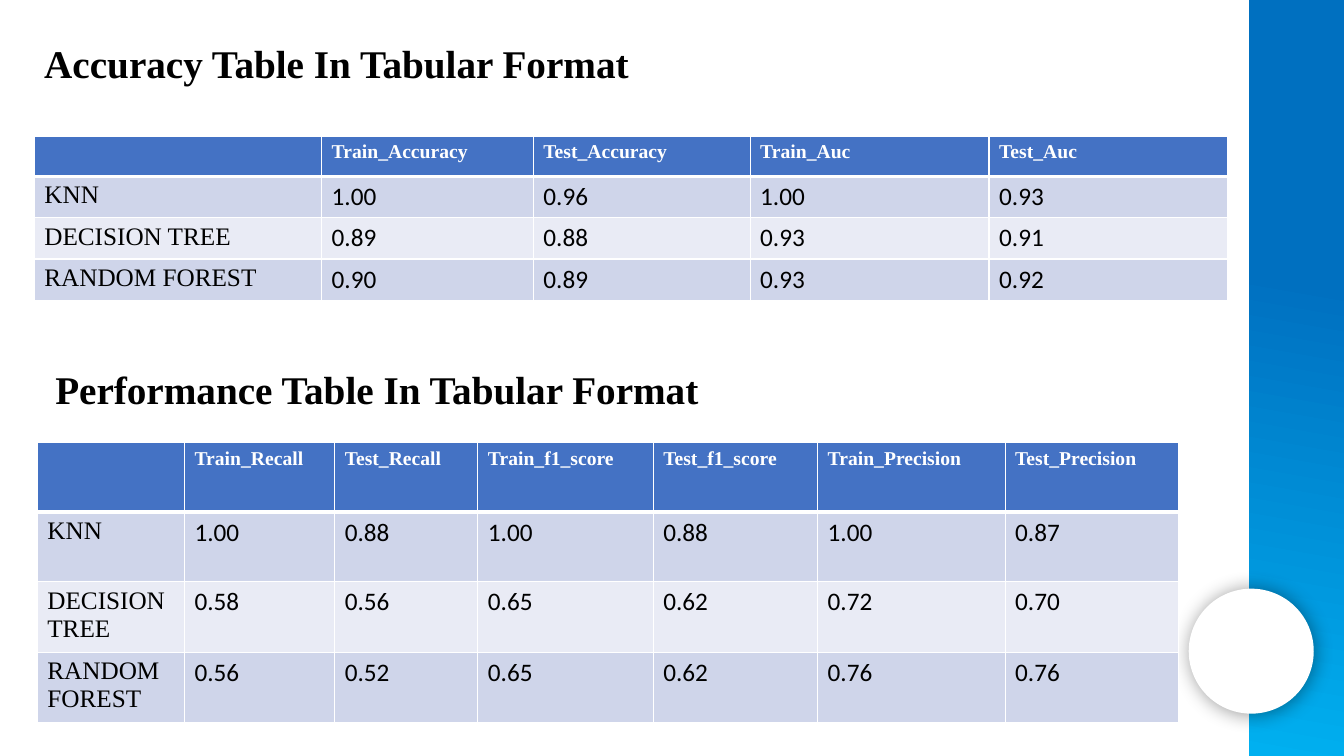
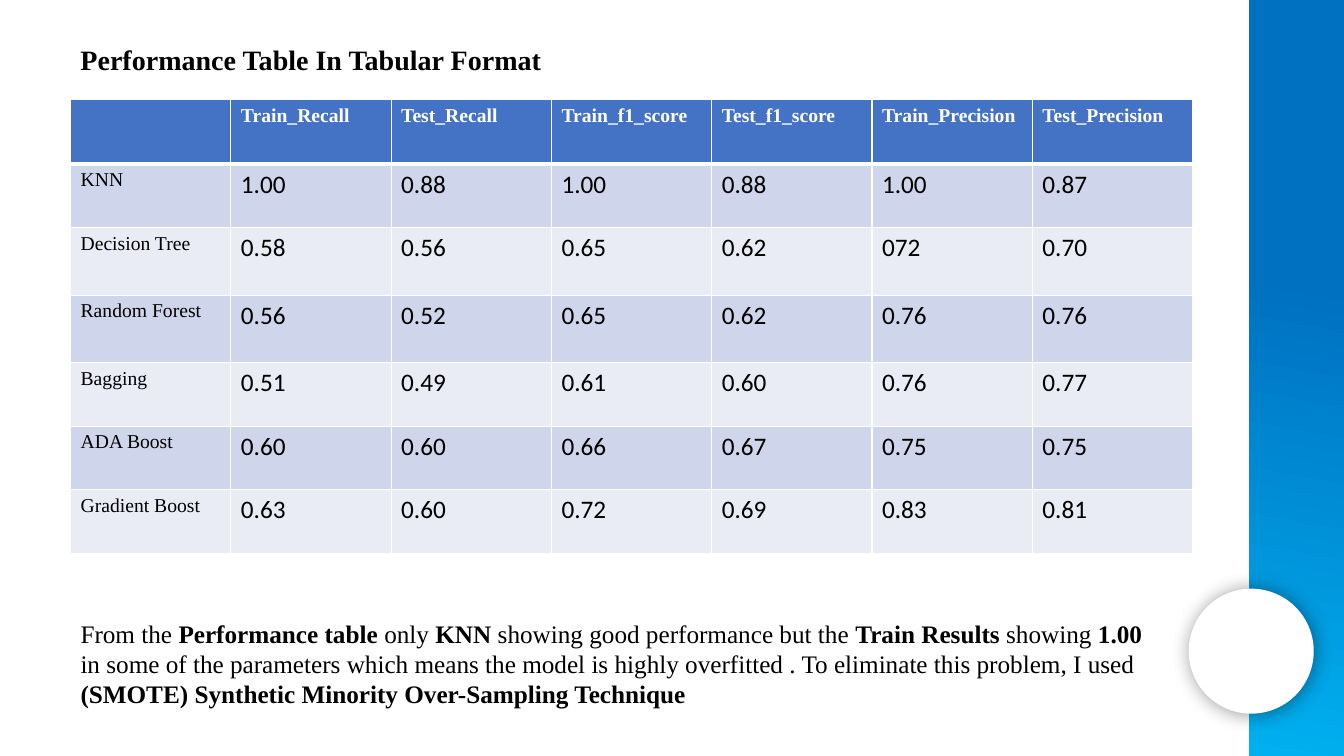
from lxml import etree
from pptx import Presentation, util as u
from pptx.dml.color import RGBColor
from pptx.enum import shapes
from pptx.oxml import parse_xml

HUE = {"ink": "000000", "paper": "FFFFFF", "head": "4472C4", "odd": "CFD5EA",
       "even": "E9EBF5", "deep": "0070C0", "sky": "00B0F0"}
SERIF, SANS = "Times New Roman", "Calibri"
NS = "http://schemas.openxmlformats.org/drawingml/2006/main"


def write(frame, runs, size, face=SERIF, hue="ink"):
    """Fill the first paragraph with (words, bold) runs."""
    for words, bold in runs:
        run = frame.paragraphs[0].add_run()
        run.text = words
        run.font.size, run.font.name, run.font.bold = u.Pt(size), face, bold
        run.font.color.rgb = RGBColor.from_string(HUE[hue])


def place(slide, left, top, width, height, runs, size):
    """Add a wrapped text box."""
    box = slide.shapes.add_textbox(*map(u.Inches, (left, top, width, height)))
    box.text_frame.word_wrap = True
    write(box.text_frame, runs, size)


deck = Presentation()
deck.slide_width, deck.slide_height = u.Inches(13.33), u.Inches(7.5)
blank = deck.slide_layouts[6]
first, second = [deck.slides.add_slide(blank) for _ in range(2)]

# Side band and white disc, shared through the layout
band = first.shapes.add_shape(shapes.MSO_SHAPE.RECTANGLE, u.Inches(12.39), 0,
                              u.Inches(0.94), u.Inches(7.5))
band.shadow.inherit = False
band.fill.gradient()
band.fill.gradient_angle = 260
for stop, (spot, hue) in zip(band.fill.gradient_stops, [(0.37, "deep"), (1, "sky")]):
    stop.position = spot
    stop.color.rgb = RGBColor.from_string(HUE[hue])

disc = first.shapes.add_shape(shapes.MSO_SHAPE.OVAL, u.Inches(11.79), u.Inches(5.84),
                              u.Inches(1.24), u.Inches(1.24))
disc.fill.solid()
disc.fill.fore_color.rgb = RGBColor.from_string(HUE["paper"])
for shape in (band, disc):
    shape.line.fill.background()
    blank.shapes.element.append(shape.element)
disc.element.spPr.append(parse_xml(
    f'<a:effectLst xmlns:a="{NS}"><a:outerShdw blurRad="{u.Pt(14)}" dist="{u.Pt(1)}" '
    f'dir="{43 * 60000}" algn="ctr" rotWithShape="0"><a:srgbClr val="{HUE["ink"]}">'
    '<a:alpha val="40000"/></a:srgbClr></a:outerShdw></a:effectLst>'))

# Titles and closing note
perf = "Performance Table In Tabular Format"
place(first, 0.34, 0.34, 11.32, 0.57, [("Accuracy Table In Tabular Format", True)], 28)
place(first, 0.45, 3.58, 6.63, 0.57, [(perf, True)], 28)
place(second, 0.7, 0.37, 8.34, 0.44, [(perf, True)], 20)
place(second, 0.7, 6.08, 10.78, 1.31, [
    ("From the ", False), ("Performance table", True), (" only ", False),
    ("KNN ", True), ("showing good performance but the ", False),
    ("Train Results", True), (" showing ", False), ("1.00", True),
    (" in some of the parameters which means the model is highly overfitted . "
     "To eliminate this problem, I used", False),
    (" (SMOTE) Synthetic Minority Over-Sampling Technique", True)], 18)

# Table data: slide, left, top, column widths, row heights, label size, heads, rows
marks = ["Train_Recall", "Test_Recall", "Train_f1_score", "Test_f1_score",
         "Train_Precision", "Test_Precision"]
grids = [
    (first, 0.34, 1.35, [2.85, 2.1, 2.15, 2.37, 2.37], [0.4] + [0.41] * 3, 18,
     ["Train_Accuracy", "Test_Accuracy", "Train_Auc", "Test_Auc"],
     [("KNN", "1.00 0.96 1.00 0.93"),
      ("DECISION TREE", "0.89 0.88 0.93 0.91"),
      ("RANDOM FOREST", "0.90 0.89 0.93 0.92")]),
    (first, 0.37, 4.39, [1.46, 1.49, 1.42, 1.74, 1.63, 1.86, 1.72], [0.69] * 4, 18,
     marks,
     [("KNN", "1.00 0.88 1.00 0.88 1.00 0.87"),
      ("DECISION TREE", "0.58 0.56 0.65 0.62 0.72 0.70"),
      ("RANDOM FOREST", "0.56 0.52 0.65 0.62 0.76 0.76")]),
    (second, 0.7, 0.99, [1.59] * 7, [0.64, 0.63, 0.67, 0.67] + [0.63] * 3, 14,
     marks,
     [("KNN", "1.00 0.88 1.00 0.88 1.00 0.87"),
      ("Decision Tree", "0.58 0.56 0.65 0.62 072 0.70"),
      ("Random Forest", "0.56 0.52 0.65 0.62 0.76 0.76"),
      ("Bagging", "0.51 0.49 0.61 0.60 0.76 0.77"),
      ("ADA Boost", "0.60 0.60 0.66 0.67 0.75 0.75"),
      ("Gradient Boost", "0.63 0.60 0.72 0.69 0.83 0.81")]),
]

# Tables
for slide, left, top, wide, high, size, heads, rows in grids:
    cells = [["", *heads]] + [[name, *nums.split()] for name, nums in rows]
    table = slide.shapes.add_table(
        len(high), len(wide),
        *map(u.Inches, (left, top, sum(wide), sum(high)))).table
    for col, width in zip(table.columns, wide):
        col.width = u.Inches(width)
    for r, line in enumerate(cells):
        table.rows[r].height = u.Inches(high[r])
        for c, words in enumerate(line):
            cell = table.cell(r, c)
            # White rules, heavier under the header
            props = cell._tc.get_or_add_tcPr()
            for side in "LRTB":
                thick = 3 if (r, side) in [(0, "B"), (1, "T")] else 1
                rule = etree.SubElement(props, f"{{{NS}}}ln{side}", w=str(u.Pt(thick)))
                paint = etree.SubElement(rule, f"{{{NS}}}solidFill")
                etree.SubElement(paint, f"{{{NS}}}srgbClr", val=HUE["paper"])
            shade = "head" if r == 0 else "odd" if r % 2 else "even"
            cell.fill.solid()
            cell.fill.fore_color.rgb = RGBColor.from_string(HUE[shade])
            if r == 0 and words:
                write(cell.text_frame, [(words, True)], 14, hue="paper")
            elif r and c == 0:
                write(cell.text_frame, [(words, False)], size)
            elif r:
                write(cell.text_frame, [(words, False)], 18, SANS)

deck.save("out.pptx")
